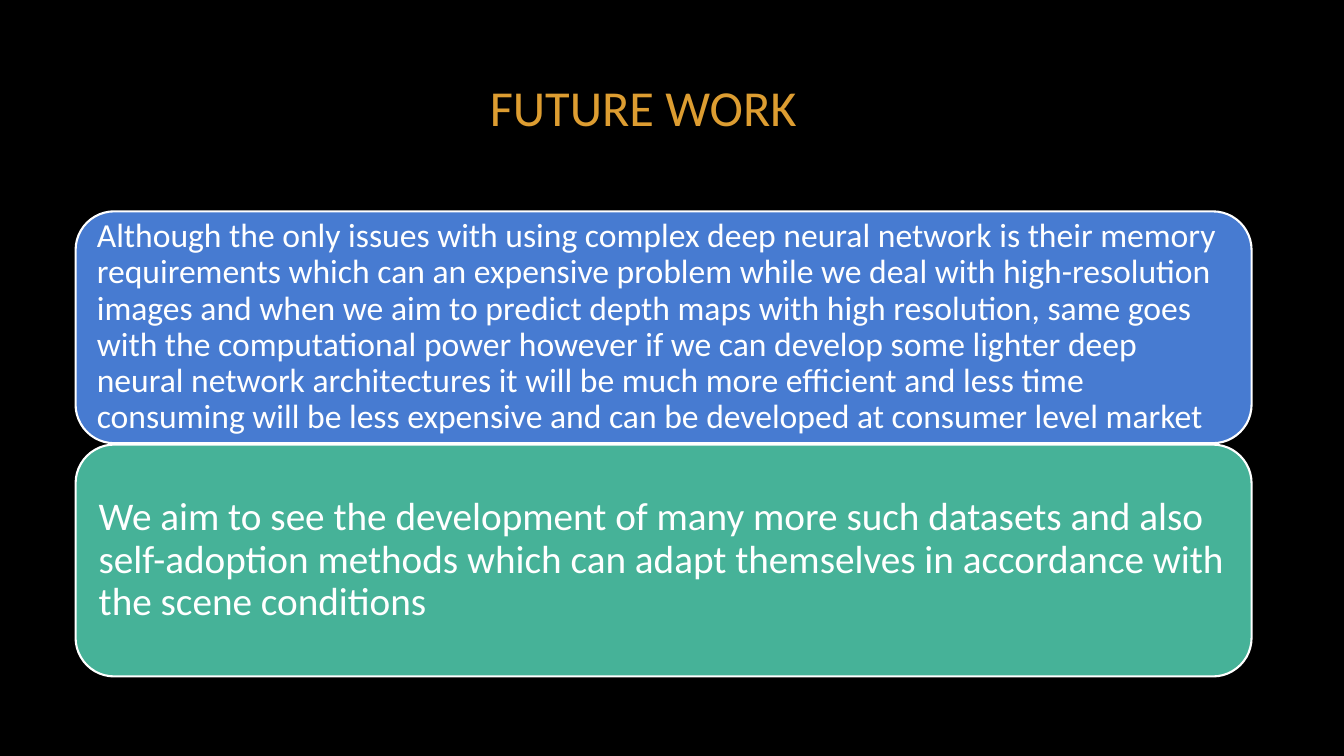
from dataclasses import dataclass

from pptx import Presentation
from pptx.dml.color import RGBColor
from pptx.enum.shapes import MSO_SHAPE
from pptx.enum.text import MSO_ANCHOR, PP_ALIGN
from pptx.util import Pt

ROUND = MSO_SHAPE.ROUNDED_RECTANGLE
MIDDLE = MSO_ANCHOR.MIDDLE
LEFT, CENTER = PP_ALIGN.LEFT, PP_ALIGN.CENTER

FONT = "Calibri"
COLORS = {
    "back": "000000",
    "title": "DD9D31",
    "blue": "477BD1",
    "green": "46B298",
    "white": "FFFFFF",
}
CARD_LEFT, CARD_TOP = 54, 151
CARD_WIDTH, CARD_HEIGHT = 840, 165.6
CARD_STEP = 166.6


@dataclass
class Card:
    text: str
    fill: str
    size: float
    inset: float


CARDS = [
    Card(
        "Although the only issues with using complex deep neural network is "
        "their memory requirements which can an expensive problem while we "
        "deal with high-resolution images and when we aim to predict depth "
        "maps with high resolution, same goes with the computational power "
        "however if we can develop some lighter deep neural network "
        "architectures it will be much more efficient and less time consuming "
        "will be less expensive and can be developed at consumer level market",
        "blue", 24, 7.2,
    ),
    Card(
        "We aim to see the development of many more such datasets and also "
        "self-adoption methods which can adapt themselves in accordance with "
        "the scene conditions",
        "green", 28, 8.4,
    ),
]


def color(name: str) -> RGBColor:
    return RGBColor.from_string(COLORS[name])


def write(shape, text: str, *, size: float, tint: str = "white",
          align=LEFT, inset: float = 7.2, lines: float = 1.0) -> None:
    """Fill a shape with one formatted, vertically centred paragraph."""
    frame = shape.text_frame
    frame.word_wrap = True
    frame.vertical_anchor = MIDDLE
    frame.margin_left = frame.margin_right = Pt(inset)
    frame.margin_top = frame.margin_bottom = Pt(inset)
    para = frame.paragraphs[0]
    para.text = text
    para.alignment = align
    para.line_spacing = lines
    para.font.name = FONT
    para.font.size = Pt(size)
    para.font.color.rgb = color(tint)


def draw_card(slide, card: Card, top: float) -> None:
    shape = slide.shapes.add_shape(
        ROUND, Pt(CARD_LEFT), Pt(top), Pt(CARD_WIDTH), Pt(CARD_HEIGHT))
    shape.shadow.inherit = False
    shape.fill.solid()
    shape.fill.fore_color.rgb = color(card.fill)
    shape.line.color.rgb = color("white")
    shape.line.width = Pt(1.5)
    write(shape, card.text, size=card.size, inset=card.inset, lines=0.9)


def main() -> None:
    deck = Presentation()
    deck.slide_width, deck.slide_height = Pt(960), Pt(540)
    slide = deck.slides.add_slide(deck.slide_layouts[6])
    slide.background.fill.solid()
    slide.background.fill.fore_color.rgb = color("back")

    title = slide.shapes.add_textbox(Pt(60.5), Pt(21.6), Pt(798), Pt(114.5))
    write(title, "FUTURE WORK", size=36, tint="title", align=CENTER, lines=0.9)

    for row, card in enumerate(CARDS):
        draw_card(slide, card, CARD_TOP + row * CARD_STEP)
    deck.save("out.pptx")


if __name__ == "__main__":
    main()
